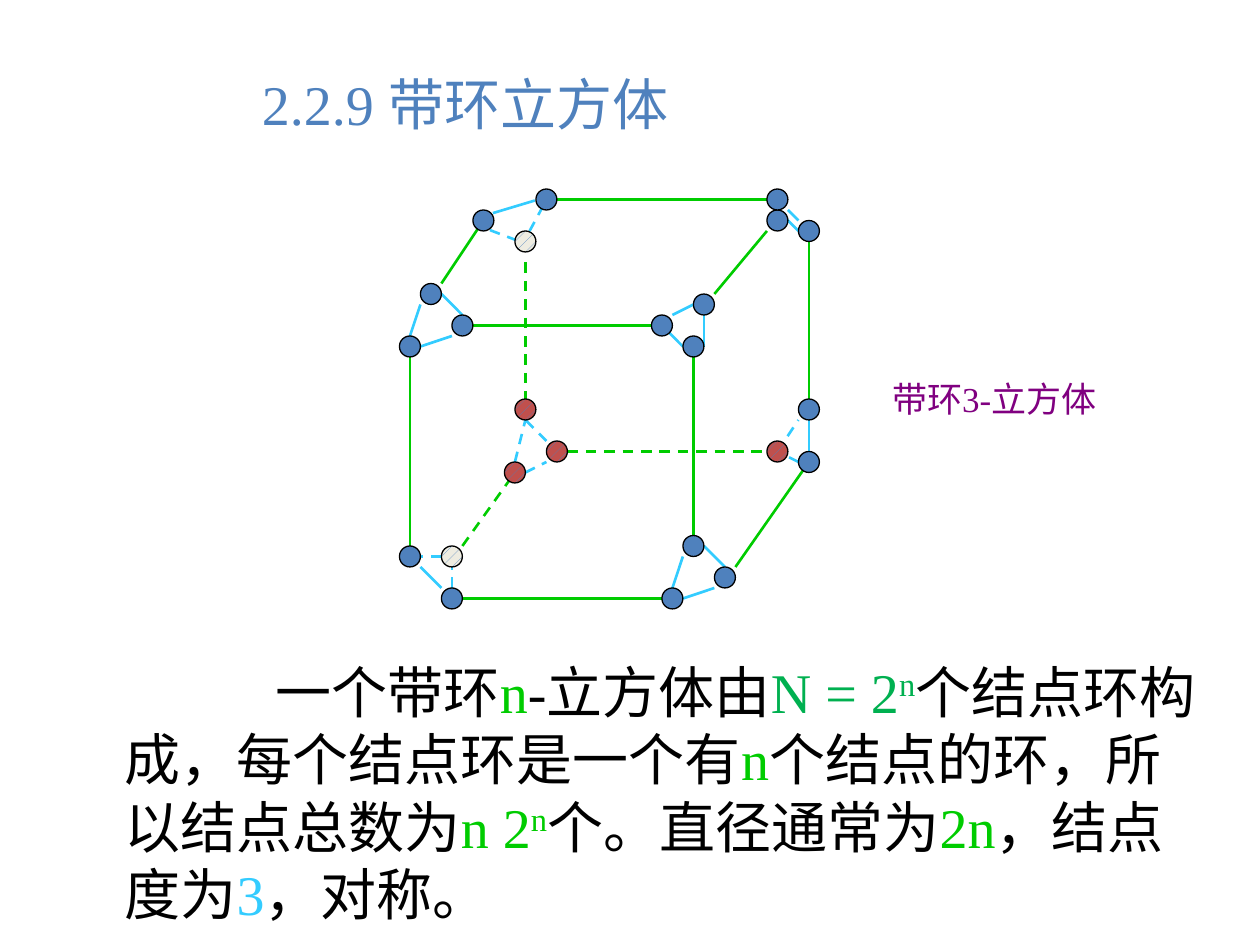
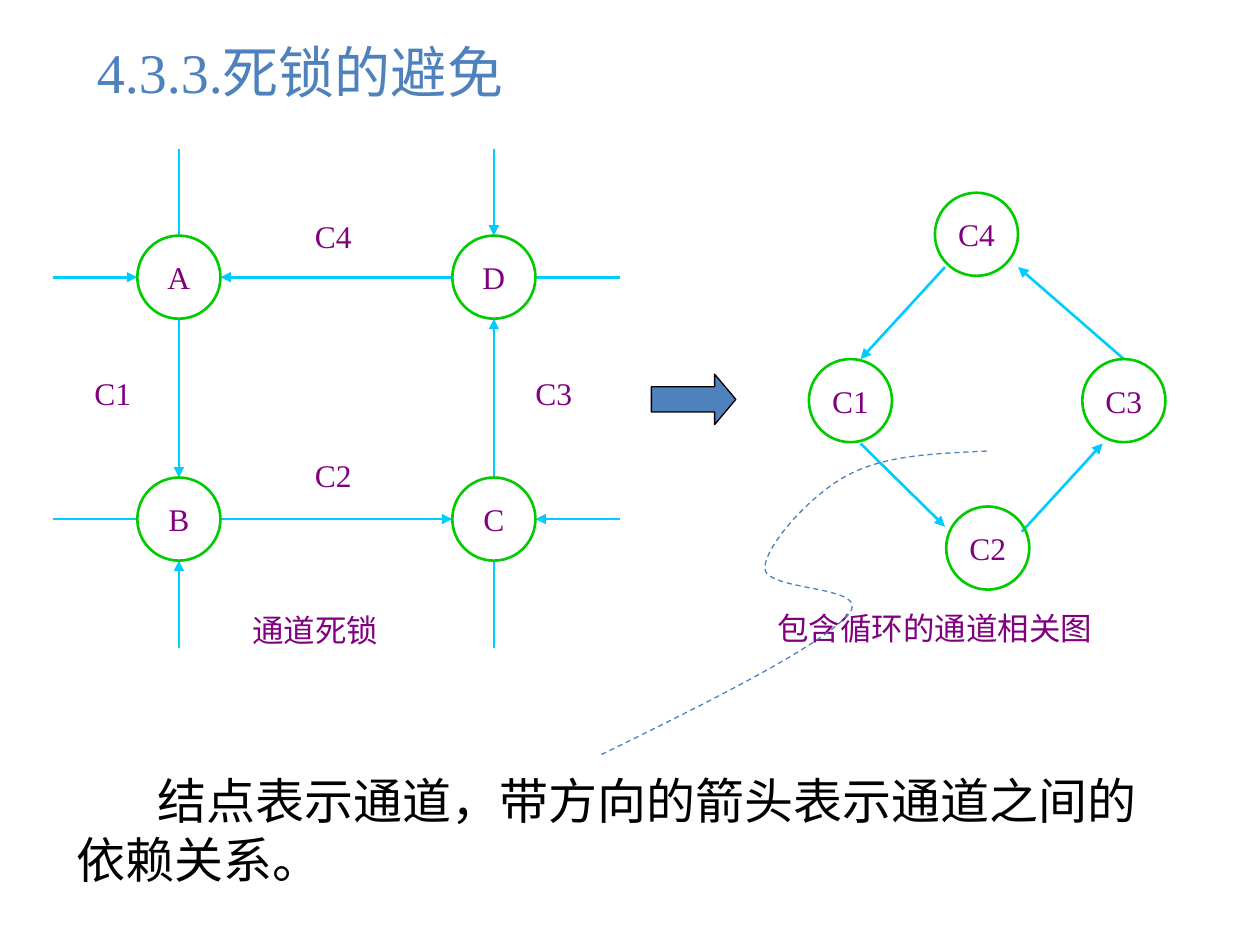
from itertools import pairwise

from lxml.etree import SubElement
from pptx import Presentation
from pptx.dml.color import RGBColor
from pptx.enum.dml import MSO_LINE, MSO_PATTERN
from pptx.enum.shapes import MSO_CONNECTOR, MSO_SHAPE
from pptx.enum.text import MSO_ANCHOR, PP_ALIGN
from pptx.oxml.ns import qn
from pptx.util import Inches, Pt

FONT = "Times New Roman"
BLUE, BLACK, PURPLE = "4F81BD", "000000", "800080"
GREEN, TEAL, SKY, CYAN = "00CC00", "00B050", "33CCFF", "00CCFF"
RED, PALE = "C0504D", "EEECE1"

UNIT = 1 / 12  # grid of the cube, in inches
CUBE_EDGES = [
    (4, 9, 8, 3), (1, 16, 1, 34), (28, 16, 28, 33), (39, 5, 39, 20), (32, 36, 39, 26),
    (6, 39, 25, 39), (7, 13, 26, 13), (30, 10, 35, 4), (15, 1, 35, 1),
]
HIDDEN_EDGES = [(12, 7, 12, 20), (6, 34, 11, 27), (16, 25, 35, 25)]
RING_LINKS = [
    (25, 13, 27, 15), (27, 39, 30, 38), (27, 35, 26, 38), (29, 34, 31, 36), (2, 36, 4, 38),
    (39, 22, 39, 25), (2, 15, 5, 14), (2, 11, 1, 14), (4, 10, 6, 12), (29, 15, 29, 12),
    (26, 12, 28, 11), (36, 2, 38, 4), (38, 3, 37, 2), (12.9, 1.1, 8.9, 2.3),
]
HIDDEN_LINKS = [
    (13.7, 1.6, 12.4, 4), (36, 25, 38, 22), (38, 26, 36, 25), (5, 38, 5, 36), (4, 35, 2, 35),
    (11, 26, 12, 22), (14, 24, 12, 22), (12, 27, 14, 26), (11.2, 4.9, 7.8, 3.6),
]
FRONT_NODES = [
    (26, 39), (31, 37), (28, 34), (1, 35), (5, 39), (39, 26), (39, 21), (1, 15), (6, 13),
    (3, 10), (25, 13), (28, 15), (29, 11), (36, 3), (39, 4), (36, 1), (8, 3), (14, 1),
]
BACK_NODES = [(36, 25), (15, 25), (11, 27), (12, 21)]
PALE_NODES = [(5, 35), (12, 5)]

RADIUS = 0.33


def rgb(color):
    return RGBColor.from_string(color)


def add_line(shapes, start, end, color, dashed=False, arrow=False):
    c = shapes.add_connector(MSO_CONNECTOR.STRAIGHT, *map(Inches, (*start, *end)))
    c.line.color.rgb = rgb(color)
    c.line.width = Pt(1.5)
    if dashed:
        c.line.dash_style = MSO_LINE.DASH
    spPr = c._element.spPr
    if arrow:
        SubElement(spPr.find(qn("a:ln")), qn("a:tailEnd"), type="triangle")
    SubElement(spPr, qn("a:effectLst"))


def add_preset(shapes, kind, box, line_color, width):
    sp = shapes.add_shape(kind, *map(Inches, box))
    sp.shadow.inherit = False
    sp.fill.background()
    sp.line.color.rgb = rgb(line_color)
    sp.line.width = Pt(width)
    return sp


def add_runs(p, runs, size):
    """Each run is (text, color) or (text, color, True) for a superscript."""
    for text, color, *raised in runs:
        r = p.add_run()
        r.text = text
        r.font.name, r.font.size = FONT, Pt(size)
        r.font.color.rgb = rgb(color)
        if raised:
            r._r.get_or_add_rPr().set("baseline", "30000")


def add_text(s, box, paragraphs, size, inset=True):
    """Each paragraph is (runs, left margin, first-line indent)."""
    tf = s.shapes.add_textbox(*map(Inches, box)).text_frame
    tf.word_wrap = True
    if not inset:
        tf.margin_left = tf.margin_right = tf.margin_top = tf.margin_bottom = 0
    for i, (runs, margin, indent) in enumerate(paragraphs):
        p = tf.add_paragraph() if i else tf.paragraphs[0]
        pPr = p._p.get_or_add_pPr()
        pPr.set("marL", str(Inches(margin)))
        pPr.set("indent", str(Inches(indent)))
        add_runs(p, runs, size)
    return tf


def add_title(s, top, text, indent):
    add_text(s, (0.17, top, 9.58, 0.58), [([(text, BLUE)], 0.81, indent)], 32)


def add_label(s, box, text, size=18):
    add_text(s, box, [([(text, PURPLE)], 0, 0)], size, inset=False)


def add_ring_cube(s, left, top):
    shapes = s.shapes.add_group_shape().shapes

    def at(x, y):
        return left + x * UNIT, top + y * UNIT

    for lines, color, dashed in (
        (CUBE_EDGES, GREEN, False), (HIDDEN_EDGES, GREEN, True),
        (RING_LINKS, SKY, False), (HIDDEN_LINKS, SKY, True),
    ):
        for x1, y1, x2, y2 in lines:
            add_line(shapes, at(x1, y1), at(x2, y2), color, dashed)

    for nodes, back in ((FRONT_NODES, None), (BACK_NODES, RED), (PALE_NODES, PALE)):
        for x, y in nodes:
            box = (*at(x - 1, y - 1), 2 * UNIT, 2 * UNIT)
            fill = add_preset(shapes, MSO_SHAPE.OVAL, box, BLACK, 0.75).fill
            if back:
                fill.patterned()
                fill.pattern = MSO_PATTERN.PERCENT_20
                fill.fore_color.rgb, fill.back_color.rgb = rgb(BLUE), rgb(back)
            else:
                fill.solid()
                fill.fore_color.rgb = rgb(BLUE)


def add_circle(s, center, name):
    x, y = center
    box = (x - RADIUS, y - RADIUS, 2 * RADIUS, 2 * RADIUS)
    tf = add_preset(s.shapes, MSO_SHAPE.OVAL, box, GREEN, 1.5).text_frame
    tf.word_wrap = False
    tf.vertical_anchor = MSO_ANCHOR.MIDDLE
    tf.paragraphs[0].alignment = PP_ALIGN.CENTER
    add_runs(tf.paragraphs[0], [(name, PURPLE)], 18)


def rim(center, toward):
    """Point where a horizontal or vertical line toward a point leaves the circle."""
    return tuple(a + RADIUS * ((b > a) - (b < a)) for a, b in zip(center, toward))


def add_deadlock_mesh(s, left, top):
    near, far, high, low = left + 1, left + 3.5, top + 1.02, top + 2.94
    nodes = {"A": (near, high), "B": (near, low), "C": (far, low), "D": (far, high)}
    for a, b in pairwise("ABCDA"):
        start, end = nodes[a], nodes[b]
        add_line(s.shapes, rim(start, end), rim(end, start), CYAN, arrow=True)
    for name, dx, dy, inward in (
        ("A", -1, 0, True), ("A", 0, -1, False), ("D", 1, 0, False), ("D", 0, -1, True),
        ("B", -1, 0, False), ("B", 0, 1, True), ("C", 1, 0, True), ("C", 0, 1, False),
    ):
        x, y = nodes[name]
        outside = (x + dx, y + 1.02 * dy)
        add_line(s.shapes, outside, rim((x, y), outside), CYAN, arrow=inward)
    for name, center in nodes.items():
        add_circle(s, center, name)
    for name, x, y in (("C1", 0.33, 1.79), ("C2", 2.08, 2.44),
                       ("C3", 3.83, 1.79), ("C4", 2.08, 0.54)):
        add_label(s, (left + x, top + y, 0.5, 0.4), name)
    add_label(s, (left + 1.58, top + 3.67, 1.58, 0.4), "通道死锁")


def add_dependency_graph(s, left, top):
    for x1, y1, x2, y2 in (
        (1.08, 0.59, 0.41, 1.32), (0.41, 1.99, 1.08, 2.65),
        (1.69, 2.69, 2.33, 1.99), (2.5, 1.32, 1.66, 0.59),
    ):
        add_line(s.shapes, (left + x1, top + y1), (left + x2, top + y2), CYAN, arrow=True)
    for name, x, y in (("C4", 1.33, 0.33), ("C1", 0.33, 1.65),
                       ("C3", 2.5, 1.65), ("C2", 1.42, 2.82)):
        add_circle(s, (left + x, top + y), name)
    add_label(s, (left - 0.25, top + 3.3, 3.42, 0.4), "包含循环的通道相关图")


def bezier(p0, p1, p2, p3, t):
    u = 1 - t
    return tuple(Inches(u**3 * a + 3 * u * u * t * b + 3 * u * t * t * c + t**3 * d)
                 for a, b, c, d in zip(p0, p1, p2, p3))


def add_dashed_curve(s, left, top):
    knots = [(3.08, 0), (2.68, 0.02), (2.28, 0.03), (1.98, 0.19), (1.69, 0.34),
             (1.32, 0.75), (1.32, 0.93), (1.32, 1.12), (2.2, 1.06), (1.98, 1.3),
             (1.76, 1.55), (0.88, 1.99), (0, 2.42)]
    knots = [(left + x, top + y) for x, y in knots]
    steps = 16
    points = [bezier(*knots[i:i + 4], k / steps)
              for i in range(0, len(knots) - 1, 3) for k in range(1, steps + 1)]
    builder = s.shapes.build_freeform(*map(Inches, knots[0]))
    builder.add_line_segments(points, close=False)
    sp = builder.convert_to_shape()
    sp.shadow.inherit = False
    sp.fill.background()
    sp.line.color.rgb = rgb(BLUE)
    sp.line.width = Pt(0.75)
    sp.line.dash_style = MSO_LINE.DASH


def build_ring_cube_slide(s):
    add_title(s, 0.5, "2.2.9 带环立方体", 1)
    add_ring_cube(s, 3.17, 1.5)
    add_label(s, (7.08, 3, 1.75, 0.33), "带环3-立方体", 20)
    runs = [
        ("一个带环", BLACK), ("n", GREEN), ("-立方体由", BLACK), ("N = 2", TEAL),
        ("n", TEAL, True), ("个结点环构成，每个结点环是一个有", BLACK), ("n", GREEN),
        ("个结点的环，所以结点总数为", BLACK), ("n 2", GREEN), ("n", GREEN, True),
        ("个。直径通常为", BLACK), ("2n", GREEN), ("，结点度为", BLACK), ("3", SKY),
        ("，对称。", BLACK),
    ]
    add_text(s, (0.08, 5.17, 9.67, 2.25), [(runs, 0.81, 1.2)], 32)


def build_deadlock_slide(s):
    add_title(s, 0.25, "4.3.3.死锁的避免", -0.31)
    add_deadlock_mesh(s, 0.42, 1.18)
    arrow = add_preset(s.shapes, MSO_SHAPE.RIGHT_ARROW, (5.17, 2.97, 0.67, 0.4), BLACK, 0.75)
    arrow.adjustments[1] = 0.42
    arrow.fill.solid()
    arrow.fill.fore_color.rgb = rgb(BLUE)
    add_dependency_graph(s, 6.42, 1.53)
    tf = add_text(s, (0.25, 6, 9.58, 1.17), [
        ([("结点表示通道，带方向的箭头表示通道之间的", BLACK)], 0.36, 0.64),
        ([("依赖关系。", BLACK)], 0.36, 0),
    ], 28, inset=False)
    tf.vertical_anchor = MSO_ANCHOR.MIDDLE
    add_dashed_curve(s, 4.75, 3.58)


def main():
    prs = Presentation()
    prs.slide_width, prs.slide_height = Inches(10), Inches(7.5)
    for build in (build_ring_cube_slide, build_deadlock_slide):
        build(prs.slides.add_slide(prs.slide_layouts[6]))
    prs.save("out.pptx")


if __name__ == "__main__":
    main()
